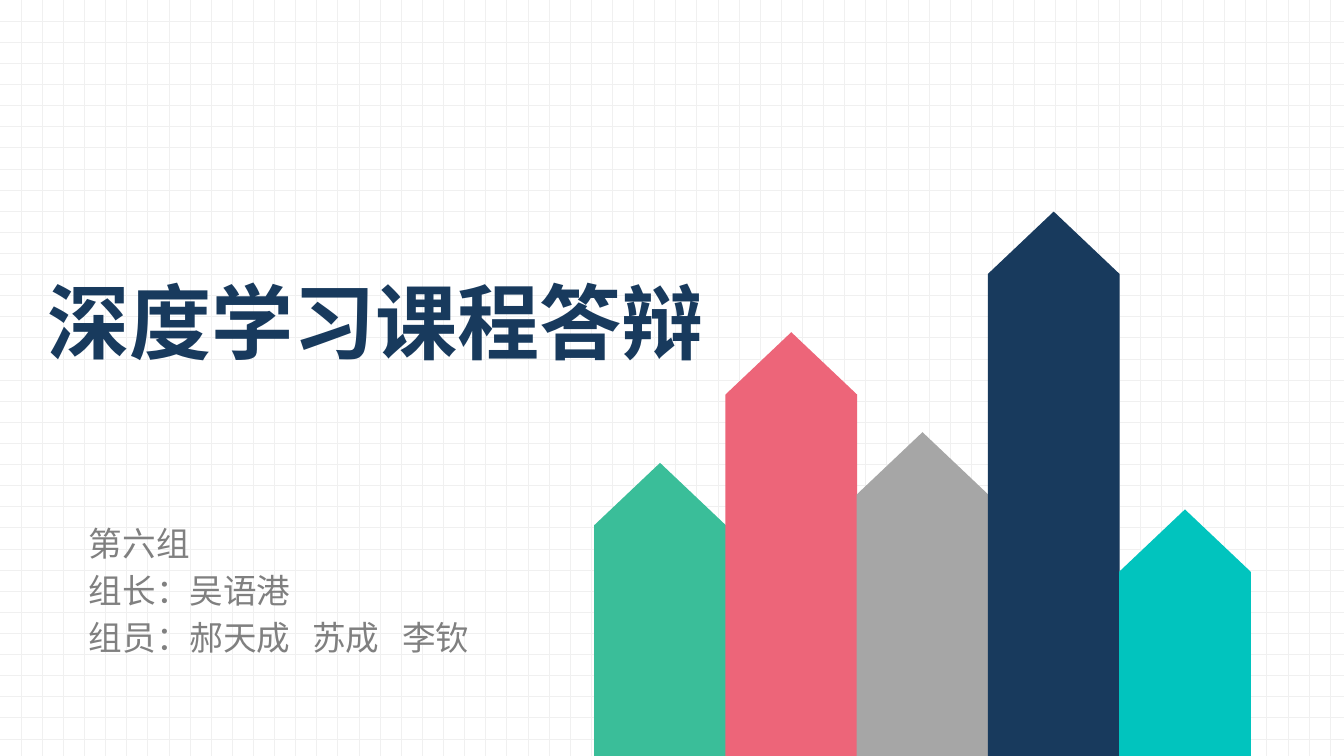
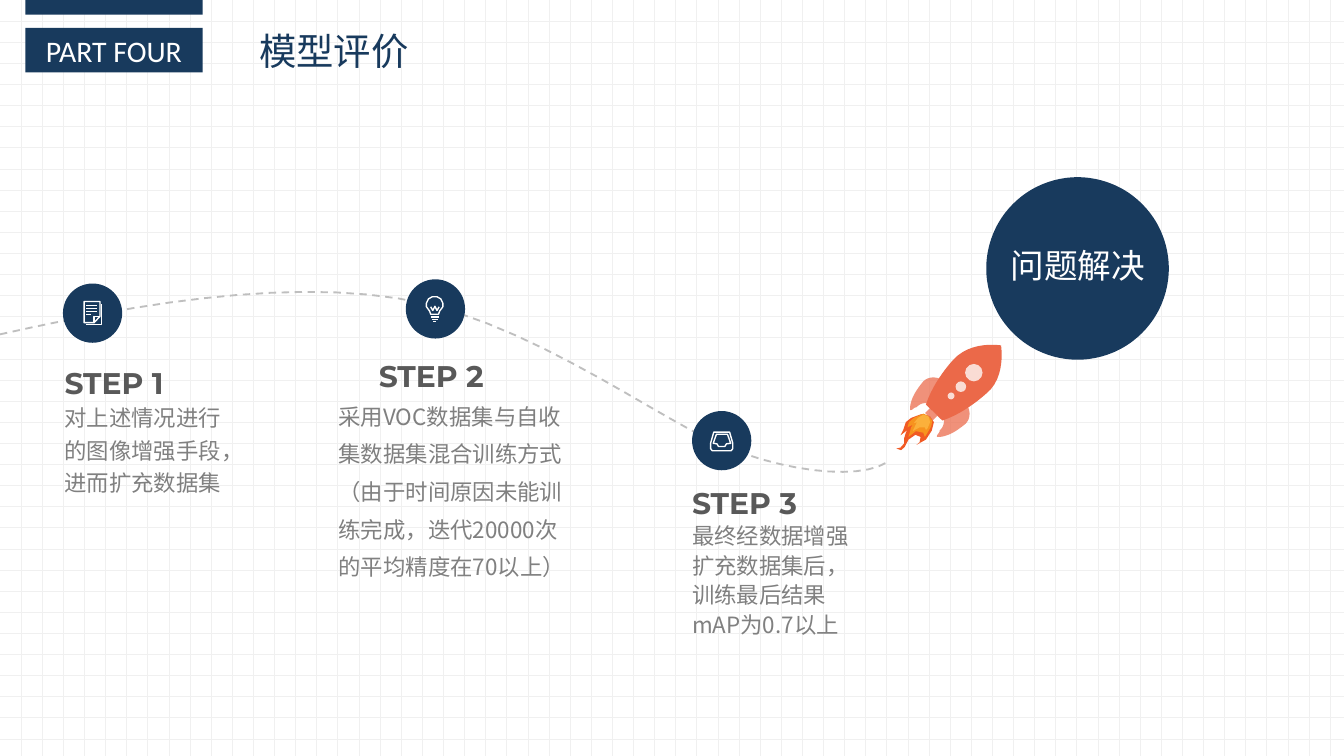
"""Build the cover and the model review slide of a course defence deck."""
from dataclasses import dataclass
from typing import Optional

from lxml.etree import SubElement as Sub
from pptx import Presentation
from pptx.dml.color import RGBColor as Rgb
from pptx.enum.dml import MSO_LINE_DASH_STYLE as Dash, MSO_PATTERN_TYPE as Pattern
from pptx.enum.shapes import MSO_SHAPE as Kind
from pptx.enum.text import MSO_ANCHOR as Anchor, MSO_AUTO_SIZE as Auto, PP_ALIGN as Align
from pptx.oxml.ns import qn
from pptx.shapes.base import BaseShape as Shape
from pptx.slide import Slide
from pptx.text.text import TextFrame as Frame
from pptx.util import Cm, Pt

Point = tuple[float, float]
Path = list[Point]

WIDE, HIGH = 25.4, 14.29
HEX = {
    "navy": "183A5D", "green": "3ABE99", "pink": "ED6579", "gray": "A6A6A6",
    "teal": "01C4BE", "white": "FFFFFF", "grid": "F0F0F0", "dash": "BFBFBF",
    "head": "595959", "body": "808080", "hull": "EB6949",
    "flame": "F15A24", "amber": "F7931E", "glow": "FBB03B",
}
SANS, SERVE = "Noto Sans CJK SC", "Noto Sans CJK JP"


@dataclass
class House:
    color: str
    top: float


@dataclass
class Step:
    title: str
    note: str
    badge: Point
    head: Point
    left: float
    width: float
    space: float
    icon: list[Path]


HOUSES = [House("green", 8.75), House("pink", 6.28), House("gray", 8.17),
          House("navy", 4.0), House("teal", 9.63)]

SHEET = [
    [(1.59, 5.7), (1.89, 5.7), (1.89, 5.98), (1.78, 6.1), (1.59, 6.1), (1.59, 5.7)],
    [(1.78, 6.1), (1.78, 5.98), (1.89, 5.98)],
    [(1.92, 5.75), (1.92, 6.14), (1.62, 6.14)],
    *[[(1.63, y), (end, y)] for y, end in
      [(5.78, 1.83), (5.83, 1.83), (5.89, 1.83), (5.95, 1.73)]],
]
BULB = [
    [(8.14, 5.94), (8.12, 5.88), (8.06, 5.8), (8.06, 5.73), (8.1, 5.65), (8.17, 5.61),
     (8.26, 5.61), (8.33, 5.65), (8.37, 5.73), (8.37, 5.8), (8.31, 5.88), (8.29, 5.94),
     (8.14, 5.94)],
    [(8.14, 5.8), (8.18, 5.87), (8.22, 5.79), (8.26, 5.87), (8.3, 5.8)],
    *[[(8.22 - half, y), (8.22 + half, y)] for y, half in
      [(5.99, 0.08), (6.04, 0.06), (6.08, 0.03)]],
]
TRAY = [
    [(13.43, 8.38), (13.49, 8.17), (13.79, 8.17), (13.85, 8.38), (13.85, 8.48),
     (13.82, 8.52), (13.46, 8.52), (13.43, 8.48), (13.43, 8.38)],
    [(13.48, 8.38), (13.54, 8.21), (13.75, 8.21), (13.81, 8.38), (13.73, 8.39),
     (13.7, 8.44), (13.58, 8.44), (13.55, 8.39), (13.48, 8.38)],
]
STEPS = [
    Step("STEP 1", "对上述情况进行的图像增强手段，进而扩充数据集",
         (1.19, 5.36), (0.97, 6.76), 0.97, 3.51, 1.2, SHEET),
    Step("STEP 2", "采用VOC数据集与自收集数据集混合训练方式（由于时间原因未能训练完成，"
         "迭代20000次的平均精度在70以上）",
         (7.67, 5.28), (6.91, 6.63), 6.15, 4.78, 1.4, BULB),
    Step("STEP 3", "最终经数据增强扩充数据集后，训练最后结果mAP为0.7以上",
         (13.08, 7.77), (12.83, 9.04), 12.83, 3.51, 1.1, TRAY),
]

TRAIL = [(0, 6.32), (2.46, 5.77), (5.28, 5.28), (7.52, 5.64), (9.75, 5.97), (12.14, 7.7),
         (13.41, 8.31), (14.71, 8.92), (16.21, 9.09), (16.76, 8.74)]
HULL = [(17.5, 7.65), (17.65, 7.19), (18.01, 6.81), (18.01, 6.81), (18.34, 6.43),
        (18.92, 6.53), (18.92, 6.53), (18.92, 6.53), (19.02, 7.14), (18.64, 7.44),
        (18.64, 7.44), (18.26, 7.8), (17.81, 7.95)]
FIN = [(17.83, 7.21), (17.73, 7.11), (17.55, 7.11), (17.45, 7.21), (17.32, 7.37),
       (17.22, 7.52), (17.2, 7.7), (17.2, 7.72), (17.2, 7.77), (17.22, 7.75),
       (17.25, 7.75), (17.27, 7.7), (17.32, 7.7), (17.37, 7.65), (17.42, 7.62),
       (17.5, 7.62), (17.55, 7.62), (17.6, 7.62), (17.65, 7.65), (17.7, 7.65),
       (17.78, 7.62), (17.81, 7.57), (17.91, 7.47), (17.91, 7.32), (17.83, 7.21)]
FIRE = {
    "flame": [(17.5, 8.31), (17.32, 8.41), (17.38, 8.36), (17.4, 8.26), (17.3, 8.22),
              (17.17, 8.31), (17.1, 8.45), (17.03, 8.51), (16.94, 8.48), (17.02, 8.46),
              (17.09, 8.38), (17.09, 8.28), (17.12, 8.18), (17.15, 8.13), (17.02, 8.23),
              (17.07, 8.13), (17.12, 7.98), (17.22, 7.9), (17.41, 7.83), (17.58, 7.87),
              (17.65, 7.98), (17.61, 8.14)],
    "amber": [(17.58, 7.87), (17.45, 7.82), (17.27, 7.9), (17.18, 7.98), (17.15, 8.08),
              (17.25, 8.03), (17.22, 8.08), (17.17, 8.26), (17.31, 8.15), (17.45, 8.18),
              (17.48, 8.26), (17.5, 8.23), (17.6, 8.06), (17.62, 7.95)],
    "glow": [(17.48, 8.08), (17.5, 8.13), (17.53, 8.1), (17.58, 7.98), (17.55, 7.87),
             (17.45, 7.84), (17.35, 7.9), (17.27, 8), (17.35, 7.98), (17.32, 8),
             (17.25, 8.15), (17.38, 8.08)],
}
AXIS = 25.46


def tint(name: str) -> Rgb:
    """Look up a colour."""
    return Rgb.from_string(HEX[name])


def paint(shape: Shape, color: str, alpha: int = 100) -> Shape:
    """Fill a shape flat, with no line or shadow."""
    shape.shadow.inherit = False
    shape.line.fill.background()
    shape.fill.solid()
    shape.fill.fore_color.rgb = tint(color)
    if alpha < 100:
        mark = shape.element.spPr.find(".//" + qn("a:srgbClr"))
        Sub(mark, qn("a:alpha"), val=str(alpha * 1000))
    return shape


def block(slide: Slide, kind: Kind, at: Point, size: Point, color: str,
          alpha: int = 100, turn: float = 0) -> Shape:
    """Add a preset shape."""
    shape = slide.shapes.add_shape(kind, *map(Cm, at + size))
    shape.rotation = turn
    return paint(shape, color, alpha)


def trace(slide: Slide, paths: list[Path], close: bool = True) -> Shape:
    """Add one outline made of several paths."""
    pen = None
    for path in paths:
        first, *rest = [(Cm(x), Cm(y)) for x, y in path]
        if pen is None:
            pen = slide.shapes.build_freeform(*first)
        else:
            pen.move_to(*first)
        pen.add_line_segments(rest, close=close)
    return pen.convert_to_shape()


def stroke(slide: Slide, paths: list[Path], color: str, width: float) -> Shape:
    """Add open lines without a fill."""
    shape = trace(slide, paths, close=False)
    shape.shadow.inherit = False
    shape.fill.background()
    shape.line.color.rgb = tint(color)
    shape.line.width = Pt(width)
    return shape


def bend(knots: Path, count: int = 12) -> Path:
    """Turn chained cubic curves into points."""
    out = [knots[0]]
    for i in range(0, len(knots) - 1, 3):
        for n in range(1, count + 1):
            t = n / count
            part = ((1 - t) ** 3, 3 * t * (1 - t) ** 2, 3 * t * t * (1 - t), t ** 3)
            quad = knots[i:i + 4]
            out.append((sum(w * p[0] for w, p in zip(part, quad)),
                        sum(w * p[1] for w, p in zip(part, quad))))
    return out


def write(frame: Frame, text: str, *, size: float, font: str, color: str,
          bold: bool = False, align: Align = Align.LEFT, space: Optional[float] = None,
          gap: float = 0, tabs: tuple[float, ...] = ()) -> None:
    """Write each line of text as a formatted paragraph."""
    frame.word_wrap = True
    for i, line in enumerate(text.split("\n")):
        para = frame.paragraphs[0] if i == 0 else frame.add_paragraph()
        para.alignment = align
        if space:
            para.line_spacing = space
        if i and gap:
            para.space_before = Pt(gap)
        if tabs and "\t" in line:
            stops = Sub(para._p.get_or_add_pPr(), qn("a:tabLst"))
            for stop in tabs:
                Sub(stops, qn("a:tab"), pos=str(Cm(stop)), algn="l")
        run = para.add_run()
        run.text = line
        face = run.font
        face.size, face.bold, face.name = Pt(size), bold, font
        face.color.rgb = tint(color)
        Sub(face._element, qn("a:ea"), typeface=font)


def label(slide: Slide, at: Point, size: Point, grow: bool = True) -> Frame:
    """Add a text box and return its frame."""
    frame = slide.shapes.add_textbox(*map(Cm, at + size)).text_frame
    frame.auto_size = Auto.SHAPE_TO_FIT_TEXT if grow else Auto.NONE
    return frame


def cover(slide: Slide) -> None:
    """Draw the title slide."""
    left, pitch, width, roof = 11.23, 2.48, 2.49, 1.18
    for i, house in enumerate(HOUSES):
        x, eave = left + i * pitch, house.top + roof
        paint(trace(slide, [[(x + width, HIGH), (x, HIGH), (x, eave),
                             (x + width / 2, house.top), (x + width, eave)]]), house.color)
    write(label(slide, (0.64, 5.0), (13.06, 2.13)), "深度学习课程答辩",
          size=44, font=SANS, color="navy", bold=True)
    team = label(slide, (1.5, 9.78), (9.7, 1.7), grow=False)
    team.margin_left = team.margin_right = Cm(0.18)
    team.margin_top = team.margin_bottom = Cm(0.1)
    write(team, "第六组\n组长：吴语港\n组员：郝天成\t苏成\t李钦",
          size=18, font=SERVE, color="body", gap=3.6, tabs=(4.22, 5.92))


def banner(slide: Slide, part: str, title: str) -> None:
    """Draw the part tag and slide title."""
    write(label(slide, (4.65, 0.41), (12.62, 1.12)), title,
          size=20, font=SANS, color="navy")
    block(slide, Kind.RECTANGLE, (0.48, 0), (3.35, 0.28), "navy")
    tag = block(slide, Kind.RECTANGLE, (0.48, 0.53), (3.35, 0.84), "navy").text_frame
    tag.vertical_anchor = Anchor.MIDDLE
    write(tag, part, size=16, font="Calibri", color="white", align=Align.CENTER)


def rocket(slide: Slide) -> None:
    """Draw the rocket and its fire."""
    for color, path in FIRE.items():
        paint(trace(slide, [path]), color)
    for fin in (FIN, [(AXIS - y, AXIS - x) for x, y in FIN]):
        paint(trace(slide, [bend(fin)]), "hull", 73)
    paint(trace(slide, [bend(HULL)]), "hull")
    for x, y, size in [(18.24, 6.88, 0.33), (18.06, 7.21, 0.2), (17.91, 7.42, 0.13)]:
        block(slide, Kind.OVAL, (x, y), (size, size), "white", 77)
    block(slide, Kind.RECTANGLE, (17.5, 7.77), (0.2, 0.13), "hull", 73, 45)


def milestone(slide: Slide, step: Step) -> None:
    """Draw one step with its badge."""
    write(label(slide, step.head, (3.2, 0.94)), step.title,
          size=16, font="Montserrat", color="head", bold=True)
    write(label(slide, (step.left, step.head[1] + 0.66), (step.width, 2.57), grow=False),
          step.note, size=12, font=SERVE, color="body", space=step.space)
    badge = block(slide, Kind.ROUNDED_RECTANGLE, step.badge, (1.12, 1.12), "navy")
    badge.adjustments[0] = 0.5
    stroke(slide, step.icon, "white", 0.75)


def review(slide: Slide) -> None:
    """Draw the model review slide."""
    banner(slide, "PART FOUR", "模型评价")
    stroke(slide, [bend(TRAIL)], "dash", 1).line.dash_style = Dash.DASH
    for step in STEPS:
        milestone(slide, step)
    rocket(slide)
    block(slide, Kind.OVAL, (18.64, 3.35), (3.45, 3.45), "navy")
    write(label(slide, (18.77, 4.5), (3.2, 1.02)), "问题解决", size=18,
          font="Roboto Condensed", color="white", align=Align.CENTER)


def main() -> None:
    """Build and save the deck."""
    deck = Presentation()
    deck.slide_width, deck.slide_height = Cm(WIDE), Cm(HIGH)
    back = deck.slide_master.background.fill
    back.patterned()
    back.pattern = Pattern.DOTTED_GRID
    back.fore_color.rgb, back.back_color.rgb = tint("grid"), tint("white")
    for draw in (cover, review):
        draw(deck.slides.add_slide(deck.slide_layouts[6]))
    deck.save("out.pptx")


if __name__ == "__main__":
    main()
